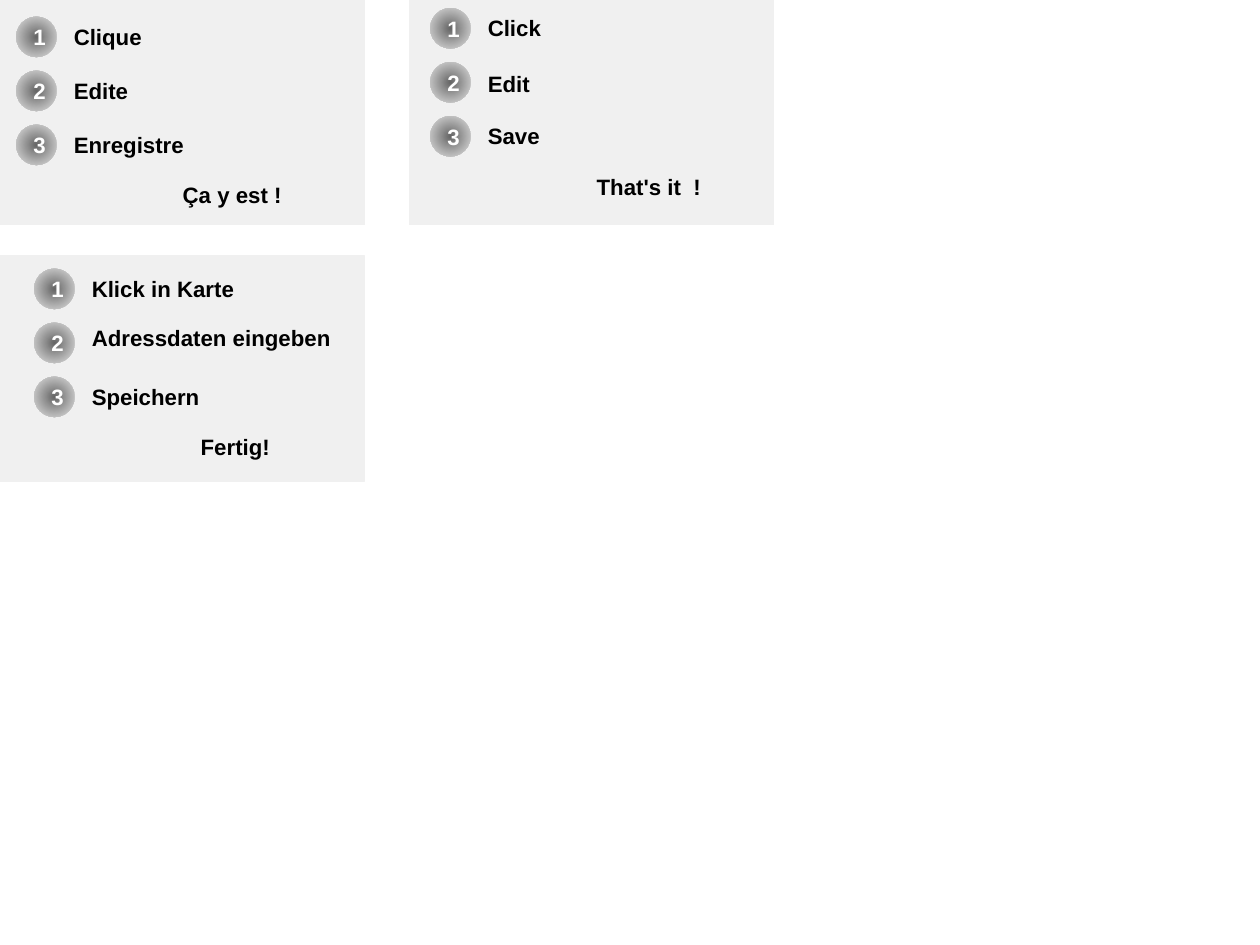
from dataclasses import dataclass

from lxml import etree
from pptx import Presentation
from pptx import util as u
from pptx.dml.color import RGBColor
from pptx.enum import shapes, text
from pptx.oxml.ns import qn


@dataclass(frozen=True)
class Theme:
    font: str = "Arial"
    size: int = 14
    large: int = 18
    panel: str = "F0F0F0"
    ink: str = "000000"
    number: str = "FFFFFF"
    badge_center: str = "666666"
    badge_edge: str = "E6E6E6"


@dataclass(frozen=True)
class Step:
    label: str
    nudge: float = 0
    width: float = 5.65
    height: float = 0.81
    tail: str = ""


@dataclass(frozen=True)
class Guide:
    left: float
    top: float
    badge_left: float
    badge_top: float
    steps: tuple
    done: str


THEME = Theme()
PANEL_W, PANEL_H = 8.1, 5
BADGE, PITCH = 0.9, 1.2
LABEL_DX, LABEL_DY = 1.03, 0.02
DONE_DX, DONE_DY, DONE_W = 3.45, 3.54, 3.55

GUIDES = (
    Guide(0, 5.69, 0.76, 0.28,
          (Step("Klick in Karte"),
           Step("Adressdaten eingeben", nudge=-0.1, width=6.05),
           Step("Speichern")),
          "Fertig!"),
    Guide(9.1, 0, 0.46, 0.18,
          (Step("Click"),
           Step("Edit", nudge=-0.1, height=0.99, tail=" "),
           Step("Save")),
          "That's it  !"),
    Guide(0, 0, 0.36, 0.37,
          (Step("Clique"), Step("Edite"), Step("Enregistre")),
          "Ça y est !"),
)


def cm_box(left, top, width, height):
    return [u.Cm(v) for v in (left, top, width, height)]


def add_run(p, words, color, size=THEME.size):
    r = p.add_run()
    r.text = words
    r.font.name = THEME.font
    r.font.size = u.Pt(size)
    r.font.bold = True
    r.font.color.rgb = RGBColor.from_string(color)


def fill_radial(sp):
    sp.fill.gradient()
    stops = sp.fill.gradient_stops
    for stop, color, position in zip(
            stops, (THEME.badge_center, THEME.badge_edge), (0, 1)):
        stop.color.rgb = RGBColor.from_string(color)
        stop.position = position
    grad = sp.element.spPr.find(qn("a:gradFill"))
    grad.remove(grad.find(qn("a:lin")))
    circle = etree.SubElement(grad, qn("a:path"), path="circle")
    etree.SubElement(circle, qn("a:fillToRect"),
                     l="50000", t="50000", r="50000", b="50000")


def add_panel(s, left, top):
    sp = s.shapes.add_shape(shapes.MSO_SHAPE.RECTANGLE,
                            *cm_box(left, top, PANEL_W, PANEL_H))
    sp.shadow.inherit = False
    sp.fill.solid()
    sp.fill.fore_color.rgb = RGBColor.from_string(THEME.panel)
    sp.line.color.rgb = RGBColor.from_string(THEME.panel)
    sp.line.width = u.Pt(0)


def add_badge(s, left, top, number):
    sp = s.shapes.add_shape(shapes.MSO_SHAPE.OVAL,
                            *cm_box(left, top, BADGE, BADGE))
    sp.shadow.inherit = False
    fill_radial(sp)
    sp.line.fill.background()
    tf = sp.text_frame
    tf.word_wrap = True
    tf.vertical_anchor = text.MSO_ANCHOR.MIDDLE
    p = tf.paragraphs[0]
    p.alignment = text.PP_ALIGN.CENTER
    add_run(p, str(number), THEME.number)


def add_label(s, left, top, step):
    sp = s.shapes.add_textbox(*cm_box(left, top, step.width, step.height))
    tf = sp.text_frame
    tf.word_wrap = True
    tf.auto_size = text.MSO_AUTO_SIZE.SHAPE_TO_FIT_TEXT
    p = tf.paragraphs[0]
    add_run(p, step.label, THEME.ink)
    if step.tail:
        add_run(p, step.tail, THEME.ink, THEME.large)


def add_guide(s, guide):
    add_panel(s, guide.left, guide.top)
    left = guide.left + guide.badge_left
    top = guide.top + guide.badge_top
    for row, step in enumerate(guide.steps):
        row_top = top + row * PITCH
        add_badge(s, left, row_top, row + 1)
        add_label(s, left + LABEL_DX, row_top + LABEL_DY + step.nudge, step)
    add_label(s, left + DONE_DX, top + DONE_DY, Step(guide.done, width=DONE_W))


def main():
    prs = Presentation()
    prs.slide_width, prs.slide_height = u.Cm(28), u.Cm(21)
    s = prs.slides.add_slide(prs.slide_layouts[6])
    for guide in GUIDES:
        add_guide(s, guide)
    prs.save("out.pptx")


if __name__ == "__main__":
    main()
